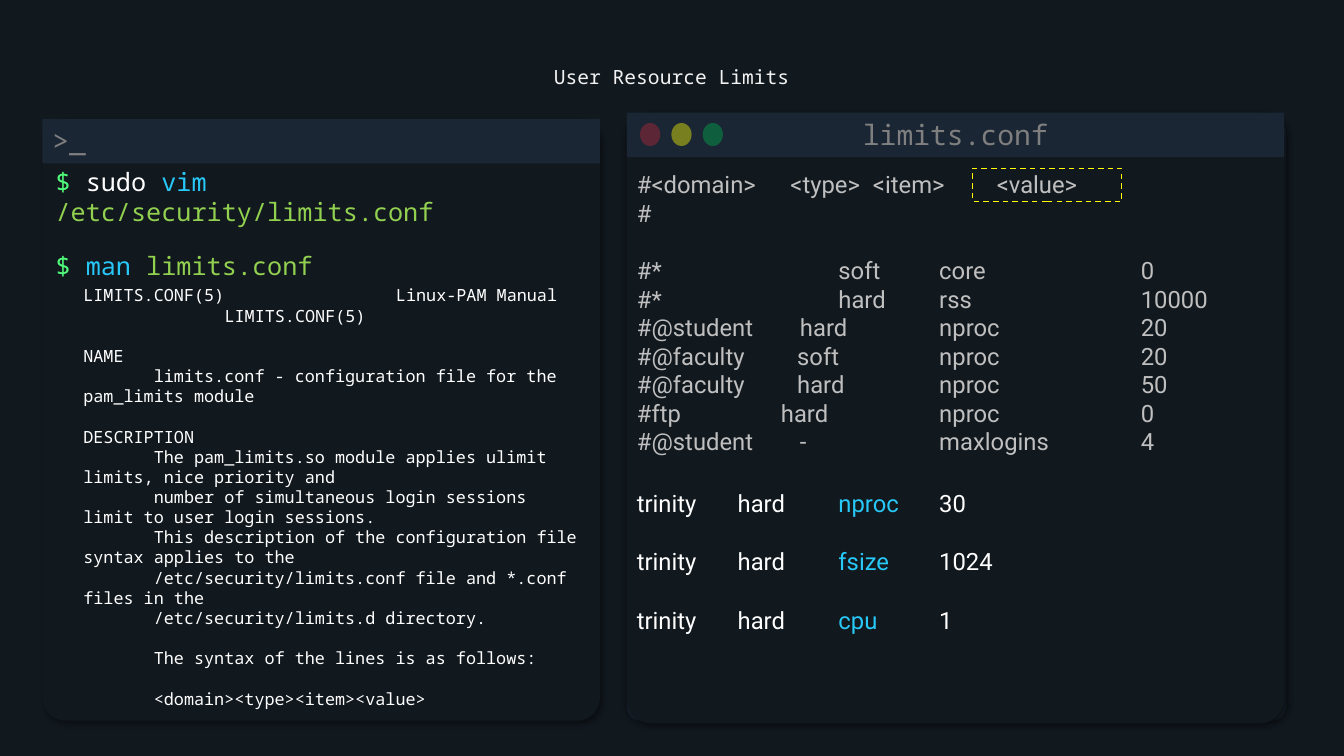
from lxml import etree
from pptx import Presentation
from pptx.dml.color import RGBColor
from pptx.enum import dml, shapes, text
from pptx.oxml import ns
from pptx.util import Cm, Pt

MONO, SANS = "Noto Sans Mono", "Roboto"
NIGHT, BAR, PANEL = "11181E", "1B2634", "161F29"
WHITE, GREY, SILVER = "FFFFFF", "7F7F7F", "BFBFBF"
PROMPT, CYAN, LIME, YELLOW = "50FA7B", "28C8F8", "92D050", "FFFF00"
RECT, ROUND, OVAL = (shapes.MSO_SHAPE.RECTANGLE, shapes.MSO_SHAPE.ROUNDED_RECTANGLE,
                     shapes.MSO_SHAPE.OVAL)
TAB = 2.54

# (indent in characters, line, blank line above)
MANUAL = [
    ("NAME", True),
    ("       limits.conf - configuration file for the pam_limits module", False),
    ("DESCRIPTION", True),
    ("       The pam_limits.so module applies ulimit limits, nice priority and", False),
    ("       number of simultaneous login sessions limit to user login sessions.", False),
    ("       This description of the configuration file syntax applies to the", False),
    ("       /etc/security/limits.conf file and *.conf files in the", False),
    ("       /etc/security/limits.d directory.", False),
    ("       The syntax of the lines is as follows:", True),
    ("       <domain><type><item><value>", True),
]
# domain, type, item, value, position of the type column
DEFAULTS = [
    ("#*", "soft", "core", "0", 5.08),
    ("#*", "hard", "rss", "10000", 5.08),
    ("#@student", "hard", "nproc", "20", 4.11),
    ("#@faculty", "soft", "nproc", "20", 4.04),
    ("#@faculty", "hard", "nproc", "50", 4.04),
    ("#ftp", "hard", "nproc", "0", 3.63),
    ("#@student", "-", "maxlogins", "4", 4.11),
]
TRINITY = [("nproc", "30"), ("fsize", "1024"), ("cpu", "1")]


def rgb(value):
    return RGBColor.from_string(value)


def sub(parent, tag, **attributes):
    return etree.SubElement(parent, ns.qn(tag), attributes)


def add_block(slide, kind, box, fill=None, corner=None):
    block = slide.shapes.add_shape(kind, *map(Cm, box))
    block.shadow.inherit = False
    block.line.fill.background()
    if fill:
        block.fill.solid()
        block.fill.fore_color.rgb = rgb(fill)
    else:
        block.fill.background()
    if corner is not None:
        block.adjustments[0] = corner
    return block


def cast_shadow(block, alpha, blur, distance, angle):
    effects = block._element.spPr.find(ns.qn("a:effectLst"))
    shadow = sub(effects, "a:outerShdw", blurRad=str(Pt(blur)), dist=str(Pt(distance)),
                 dir=str(angle * 60000), algn="tl", rotWithShape="0")
    sub(sub(shadow, "a:srgbClr", val="000000"), "a:alpha", val=str(alpha * 1000))


def write(paragraph, pieces, size, font, tabs=(), align=text.PP_ALIGN.LEFT, before=0):
    """Fill a paragraph with (words, colour) pieces and tab stops in cm."""
    paragraph.alignment = align
    if before:
        paragraph.space_before = Pt(before)
    if tabs:
        stops = sub(paragraph._p.get_or_add_pPr(), "a:tabLst")
        for tab in tabs:
            sub(stops, "a:tab", pos=str(Cm(tab)), algn="l")
    paragraph.font.size, paragraph.font.name = Pt(size), font
    for words, colour in pieces:
        run = paragraph.add_run()
        run.text = words
        run.font.color.rgb = rgb(colour)


def open_frame(holder, anchor=text.MSO_ANCHOR.TOP):
    frame = holder.text_frame
    frame.word_wrap = True
    frame.vertical_anchor = anchor
    return frame


def next_paragraph(frame):
    first = frame.paragraphs[0]
    return frame.add_paragraph() if first.runs else first


def add_title(slide, box):
    title = slide.shapes.title
    title.left, title.top, title.width, title.height = map(Cm, box)
    frame = open_frame(title, text.MSO_ANCHOR.MIDDLE)
    frame.auto_size = text.MSO_AUTO_SIZE.NONE
    paragraph = frame.paragraphs[0]
    paragraph.line_spacing = 0.9
    write(paragraph, [("User Resource Limits", "F2F2F2")], 14, MONO,
          align=text.PP_ALIGN.CENTER)


def add_window(slide, box, caption, align):
    left, top, width, _ = box
    cast_shadow(add_block(slide, ROUND, box, NIGHT, 0.041), 40, 4, 3, 45)
    bar = add_block(slide, ROUND, (left, top, width, 1.12), BAR, 0)
    write(open_frame(bar).paragraphs[0], [(caption, GREY)], 20, MONO, align=align)


def add_command(slide, box, pieces):
    command = add_block(slide, RECT, box, NIGHT)
    frame = open_frame(command, text.MSO_ANCHOR.MIDDLE)
    write(frame.paragraphs[0], pieces, 18, MONO)


def add_manual(slide, box):
    frame = open_frame(add_block(slide, RECT, box, NIGHT))
    write(next_paragraph(frame), [("LIMITS.CONF(5)\tLinux-PAM Manual", WHITE)], 12, MONO,
          tabs=[7.88])
    write(next_paragraph(frame), [("\tLIMITS.CONF(5)", WHITE)], 12, MONO, tabs=[3.56])
    for line, gap in MANUAL:
        write(next_paragraph(frame), [(line, WHITE)], 12, MONO, before=14.4 if gap else 0)


def add_terminal(slide, box):
    left, top, width, _ = box
    add_window(slide, box, ">_", text.PP_ALIGN.LEFT)
    add_command(slide, (left + 0.08, top + 1.45, 13.11, 1.02),
                [("$", PROMPT), (" sudo ", WHITE), ("vim ", CYAN),
                 ("/etc/security/limits.conf", LIME)])
    add_command(slide, (left + 0.08, top + 3.17, 13.36, 1.02),
                [("$ ", PROMPT), ("man ", CYAN), ("limits.conf", LIME)])
    add_manual(slide, (left + 0.78, top + 4.06, 12.98, 11.02))


def add_lights(slide, left, top):
    for i, (colour, alpha) in enumerate([("EF263D", 31), (YELLOW, 41), ("00B050", 42)]):
        light = add_block(slide, OVAL, (left + 0.79 * i, top, 0.51, 0.58), colour)
        shade = light._element.spPr.find(ns.qn("a:solidFill"))[0]
        sub(shade, "a:alpha", val=str(alpha * 1000))


def add_defaults(slide, box):
    frame = open_frame(slide.shapes.add_textbox(*map(Cm, box)))
    write(next_paragraph(frame), [("#<domain>\t<type>\t<item>\t<value>", SILVER)], 17, SANS,
          tabs=[3.87, 5.95, 9.07])
    write(next_paragraph(frame), [("#", SILVER)], 17, SANS)
    for i, (*cells, type_at) in enumerate(DEFAULTS):
        write(next_paragraph(frame), [("\t".join(cells), SILVER)], 17, SANS,
              tabs=[type_at, 3 * TAB, 5 * TAB], before=0 if i else 20.4)


def add_editor(slide, box):
    left, top, width, _ = box
    panel = add_block(slide, ROUND, (left, top + 0.18, 16.61, 15.14), PANEL, 0.022)
    cast_shadow(panel, 30, 5, 0, 0)
    add_window(slide, box, "limits.conf", text.PP_ALIGN.CENTER)
    add_lights(slide, left + 0.33, top + 0.26)
    add_defaults(slide, (left, top + 1.32, width, 7.52))
    highlight = add_block(slide, RECT, (left + 8.71, top + 1.4, 3.76, 0.84))
    highlight.line.color.rgb = rgb(YELLOW)
    highlight.line.width = Pt(1)
    highlight.line.dash_style = dml.MSO_LINE.DASH
    for i, (item, value) in enumerate(TRINITY):
        rule = slide.shapes.add_textbox(*map(Cm, (left, top + 9.35 + 1.47 * i, 11.96, 0.99)))
        write(open_frame(rule).paragraphs[0],
              [("trinity\thard\t", WHITE), (item, CYAN), ("\t" + value, WHITE)], 17, SANS,
              tabs=[TAB, 2 * TAB, 3 * TAB])


def main():
    deck = Presentation()
    deck.slide_width, deck.slide_height = Cm(33.87), Cm(19.05)
    slide = deck.slides.add_slide(deck.slide_layouts[5])
    slide.background.fill.solid()
    slide.background.fill.fore_color.rgb = rgb(NIGHT)
    add_title(slide, (12.32, 1.14, 9.22, 1.68))
    add_terminal(slide, (1.07, 3, 14.05, 15.16))
    add_editor(slide, (15.8, 2.84, 16.56, 15.39))
    deck.save("out.pptx")


if __name__ == "__main__":
    main()
